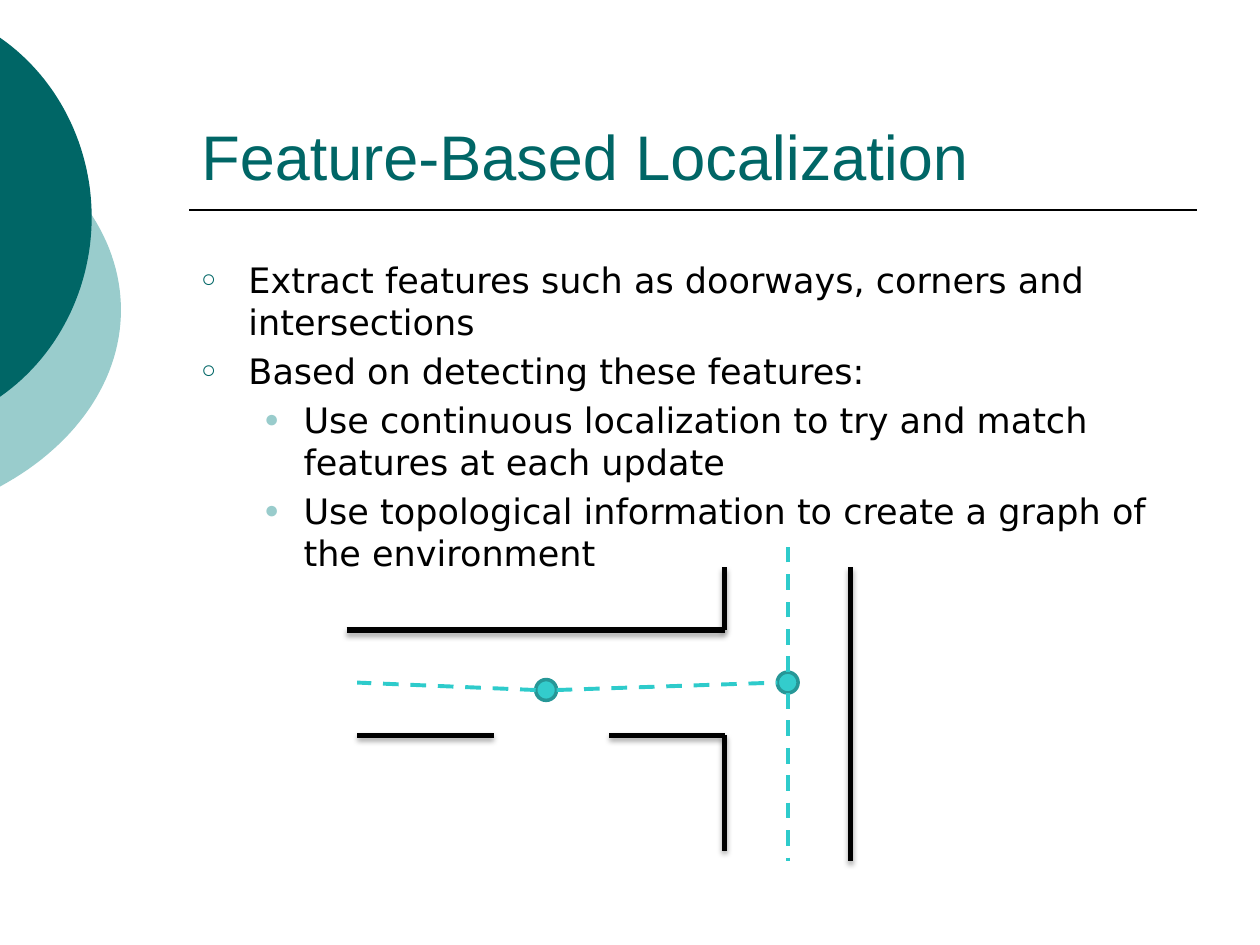
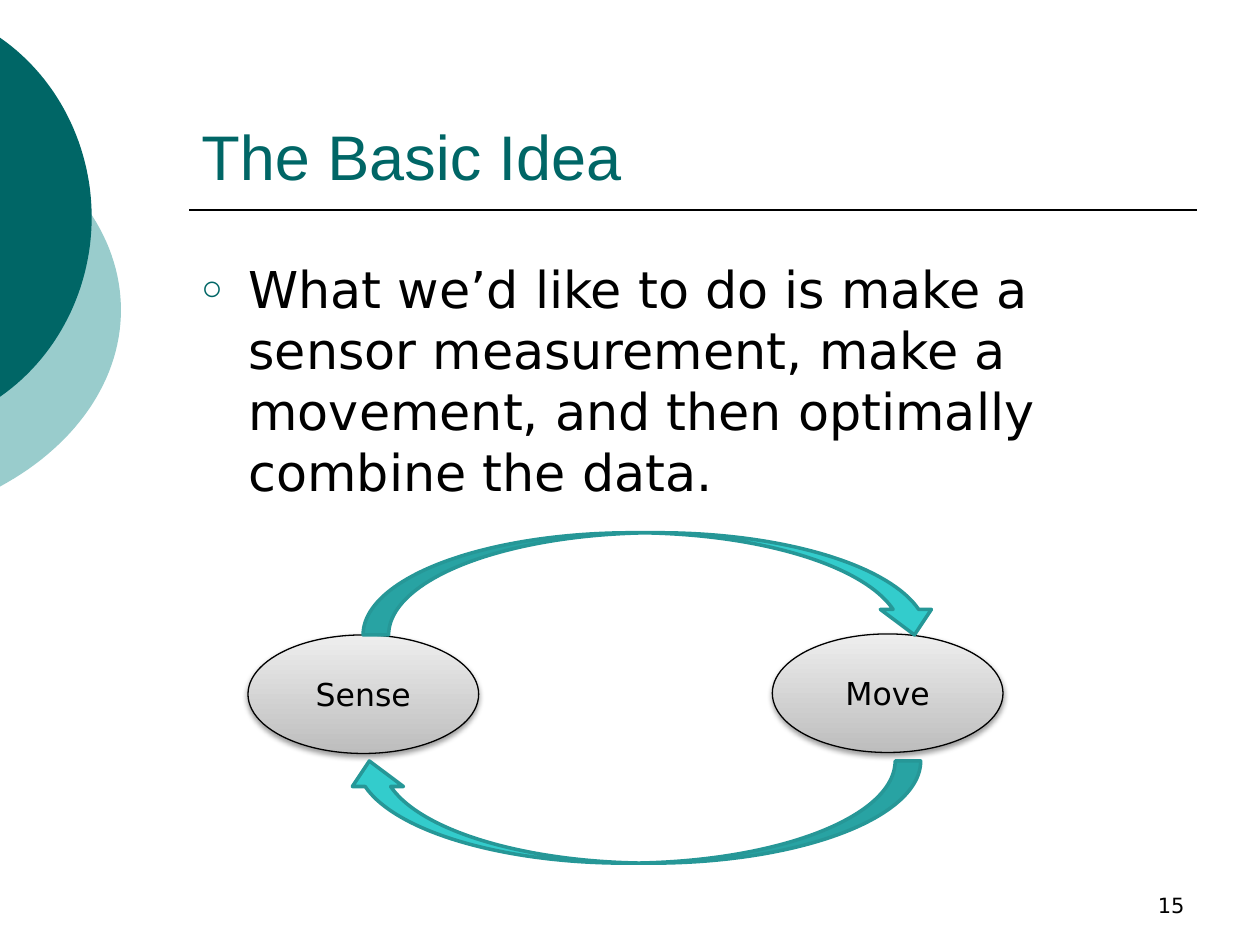
from lxml.etree import SubElement
from pptx import Presentation
from pptx.dml.color import RGBColor
from pptx.enum.dml import MSO_LINE
from pptx.enum.shapes import MSO_CONNECTOR, MSO_SHAPE
from pptx.enum.text import MSO_ANCHOR as Anchor, PP_ALIGN as Align
from pptx.oxml.ns import qn
from pptx.util import Cm, Pt

BLACK = RGBColor(0x00, 0x00, 0x00)
TEAL = RGBColor(0x00, 0x66, 0x66)
PALE = RGBColor(0x99, 0xCC, 0xCC)
AQUA = RGBColor(0x33, 0xCC, 0xCC)
AQUA_EDGE = RGBColor(0x26, 0x97, 0x97)
AQUA_DASH = RGBColor(0x2E, 0xCB, 0xCB)
GREY_DARK = RGBColor(0xBD, 0xBD, 0xBD)
GREY_LIGHT = RGBColor(0xEE, 0xEE, 0xEE)
HEAD, BODY = "Arial", "DejaVu Sans"

FEATURES = {
    "title": "Feature-Based Localization",
    "size": 20,
    "body": [
        (0, "Extract features such as doorways, corners and intersections"),
        (0, "Based on detecting these features:"),
        (1, "Use continuous localization to try and match features at each update"),
        (1, "Use topological information to create a graph of the environment"),
    ],
}
IDEA = {
    "title": "The Basic Idea",
    "size": 29,
    "body": [(0, "What we’d like to do is make a sensor measurement, make a "
                 "movement, and then optimally combine the data.")],
    "number": "15",
}
BULLETS = [("○", TEAL, 0.95, -0.95), ("●", PALE, 2.06, -0.79)]

DISCS = [
    (PALE, [(0, 2.69), (1.52, 3.51), (2.44, 4.83), (2.44, 6.25)]),
    (TEAL, [(0, 0.76), (1.17, 1.57), (1.85, 2.95), (1.85, 4.38)]),
]

HALL_TOP, HALL_BOTTOM = 12.7, 14.82
SIDE_LEFT, SIDE_RIGHT, SIDE_TOP = 14.61, 17.15, 11.43
WALLS = [
    (6.99, HALL_TOP, SIDE_LEFT, HALL_TOP),
    (7.2, HALL_BOTTOM, 9.95, HALL_BOTTOM),
    (12.28, HALL_BOTTOM, SIDE_LEFT, HALL_BOTTOM),
    (SIDE_RIGHT, SIDE_TOP, SIDE_RIGHT, 17.36),
    (SIDE_LEFT, HALL_TOP, SIDE_LEFT, SIDE_TOP),
    (SIDE_LEFT, HALL_BOTTOM, SIDE_LEFT, 17.15),
]
DOOR, CROSSING, RADIUS = (11.01, 13.91), (15.88, 13.76), 0.21
PATHS = [
    (DOOR[0] + RADIUS, DOOR[1], CROSSING[0] - RADIUS, CROSSING[1]),
    (CROSSING[0], CROSSING[1] - RADIUS, CROSSING[0], 11),
    (CROSSING[0], CROSSING[1] + RADIUS, CROSSING[0], 17.36),
    (DOOR[0] - RADIUS, DOOR[1], 7.2, 13.76),
]
STEPS = [("Sense", 5, 12.8), ("Move", 15.57, 12.78)]
ARROWS = [(7.32, 10.74, 0), (6.93, 15.34, 180)]


def cm(*values):
    return [Cm(v) for v in values]


def set_all(obj, fmt):
    for name, value in fmt.items():
        setattr(obj, name, value)


def write(p, text, size, font=BODY, color=BLACK, **fmt):
    r = p.add_run()
    r.text = text
    set_all(r.font, {"size": Pt(size), "name": font})
    r.font.color.rgb = color
    set_all(p, fmt)


def add_box(s, box, anchor):
    tf = s.shapes.add_textbox(*cm(*box)).text_frame
    set_all(tf, {"word_wrap": True, "vertical_anchor": anchor})
    return tf


def add_bullet(p, level):
    char, color, margin, indent = BULLETS[level]
    pPr = p._p.get_or_add_pPr()
    pPr.set("marL", str(Cm(margin)))
    pPr.set("indent", str(Cm(indent)))
    clr = SubElement(pPr, qn("a:buClr"))
    SubElement(clr, qn("a:srgbClr"), val=str(color))
    SubElement(pPr, qn("a:buSzPct"), val="70000")
    SubElement(pPr, qn("a:buFont"), typeface=HEAD)
    SubElement(pPr, qn("a:buChar"), char=char)


def add_shadow(effects, alpha, dist):
    shadow = SubElement(effects, qn("a:outerShdw"), blurRad=str(Pt(3.1)),
                        dist=str(Pt(dist)), dir="5400000", rotWithShape="0")
    clr = SubElement(shadow, qn("a:srgbClr"), val=str(BLACK))
    SubElement(clr, qn("a:alpha"), val=str(alpha * 1000))


def add_line(s, ends, color, width, dash=None, shadow=False):
    ln = s.shapes.add_connector(MSO_CONNECTOR.STRAIGHT, *cm(*ends))
    ln.line.color.rgb = color
    set_all(ln.line, {"width": Pt(width), "dash_style": dash})
    effects = SubElement(ln._element.spPr, qn("a:effectLst"))
    if shadow:
        add_shadow(effects, 35, 1.8)


def add_shape(s, kind, box, edge, width):
    sp = s.shapes.add_shape(kind, *cm(*box))
    sp.shadow.inherit = False
    sp.line.color.rgb = edge
    sp.line.width = Pt(width)
    return sp


def add_aqua(s, kind, box):
    sp = add_shape(s, kind, box, AQUA_EDGE, 2)
    sp.fill.solid()
    sp.fill.fore_color.rgb = AQUA
    return sp


def bezier(points, t):
    weights = ((1 - t) ** 3, 3 * t * (1 - t) ** 2, 3 * t * t * (1 - t), t ** 3)
    return tuple(sum(w * pt[i] for w, pt in zip(weights, points)) for i in (0, 1))


def add_disc(s, color, curve):
    upper = [bezier(curve, i / 30) for i in range(31)]
    axis = curve[-1][1]
    lower = [(x, 2 * axis - y) for x, y in reversed(upper[:-1])]
    points = [cm(*pt) for pt in upper + lower]
    builder = s.shapes.build_freeform(*points[0])
    builder.add_line_segments(points[1:], close=True)
    sp = builder.convert_to_shape()
    sp.shadow.inherit = False
    sp.fill.solid()
    sp.fill.fore_color.rgb = color
    sp.line.fill.background()


def add_slide(prs, content):
    s = prs.slides.add_slide(prs.slide_layouts[6])
    for color, curve in DISCS:
        add_disc(s, color, curve)
    add_line(s, (3.81, 4.23, 24.13, 4.23), BLACK, 1)
    tf = add_box(s, (3.81, 0.85, 20.32, 3.17), Anchor.BOTTOM)
    write(tf.paragraphs[0], content["title"], 36, HEAD, TEAL)
    tf = add_box(s, (3.81, 5.08, 20.32, 11.43), Anchor.TOP)
    size = content["size"]
    for i, (level, text) in enumerate(content["body"]):
        p = tf.add_paragraph() if i else tf.paragraphs[0]
        write(p, text, size, level=level, space_before=Pt(size * 0.2))
        add_bullet(p, level)
    if "number" in content:
        tf = add_box(s, (18.2, 17.36, 5.93, 1.27), Anchor.BOTTOM)
        write(tf.paragraphs[0], content["number"], 12, alignment=Align.RIGHT)
    return s


def draw_corridor(s):
    for ends in WALLS:
        add_line(s, ends, BLACK, 3, shadow=True)
    for x, y in (CROSSING, DOOR):
        add_aqua(s, MSO_SHAPE.OVAL, (x - RADIUS, y - RADIUS, 2 * RADIUS, 2 * RADIUS))
    for ends in PATHS:
        add_line(s, ends, AQUA_DASH, 2.25, MSO_LINE.DASH)


def draw_cycle(s):
    for name, x, y in STEPS:
        sp = add_shape(s, MSO_SHAPE.OVAL, (x, y, 4.65, 2.39), BLACK, 0.75)
        sp.fill.gradient()
        sp.fill.gradient_angle = 90
        for stop, color in zip(sp.fill.gradient_stops, (GREY_DARK, GREY_LIGHT)):
            stop.color.rgb = color
        add_shadow(sp._element.spPr.find(qn("a:effectLst")), 38, 1.6)
        sp.text_frame.vertical_anchor = Anchor.MIDDLE
        write(sp.text_frame.paragraphs[0], name, 18, alignment=Align.CENTER)
    for x, y, turn in ARROWS:
        sp = add_aqua(s, MSO_SHAPE.CURVED_DOWN_ARROW, (x, y, 11.63, 2.06))
        sp.rotation = turn


def main():
    prs = Presentation()
    set_all(prs, {"slide_width": Cm(25.4), "slide_height": Cm(19.05)})
    draw_corridor(add_slide(prs, FEATURES))
    draw_cycle(add_slide(prs, IDEA))
    prs.save("out.pptx")


if __name__ == "__main__":
    main()
